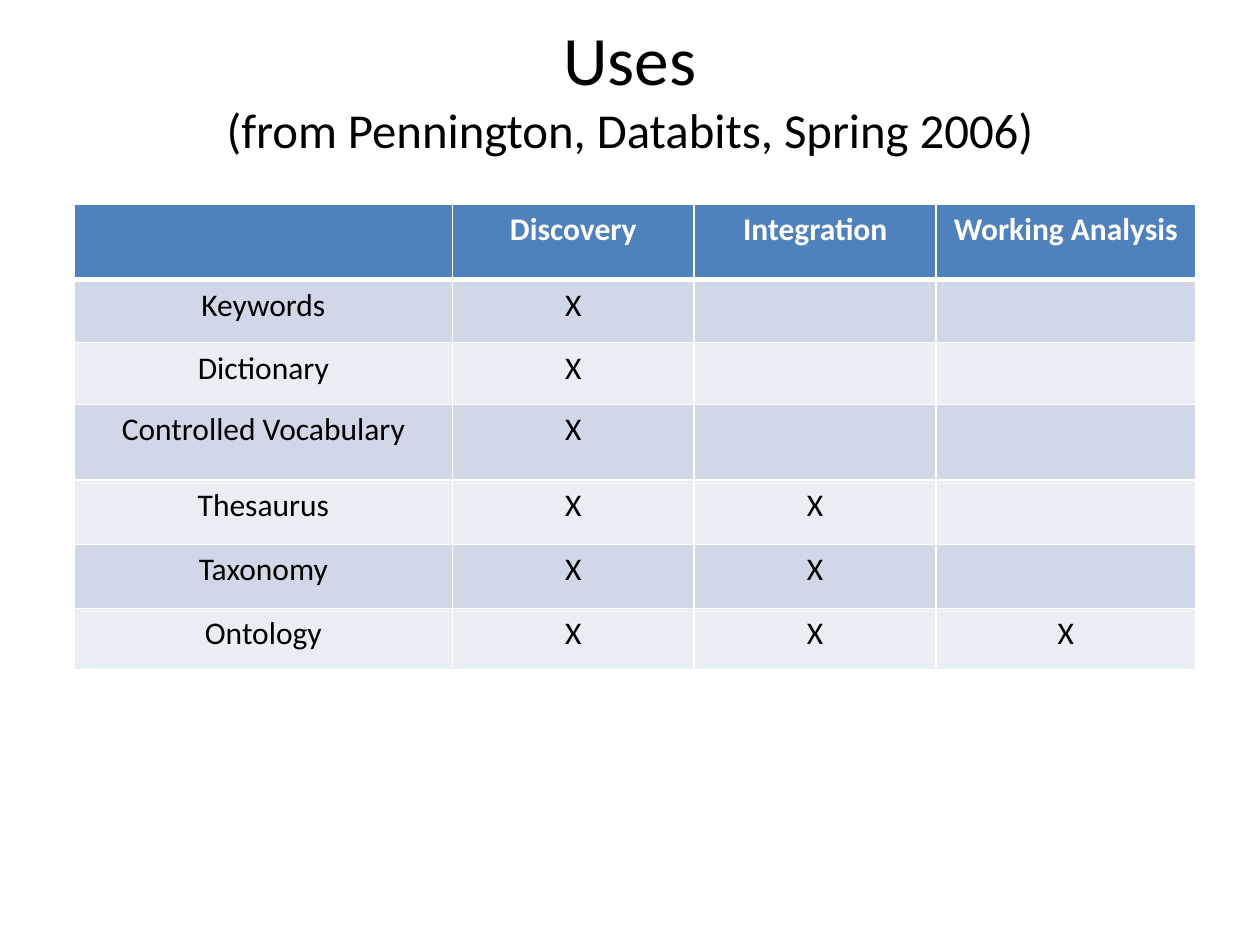
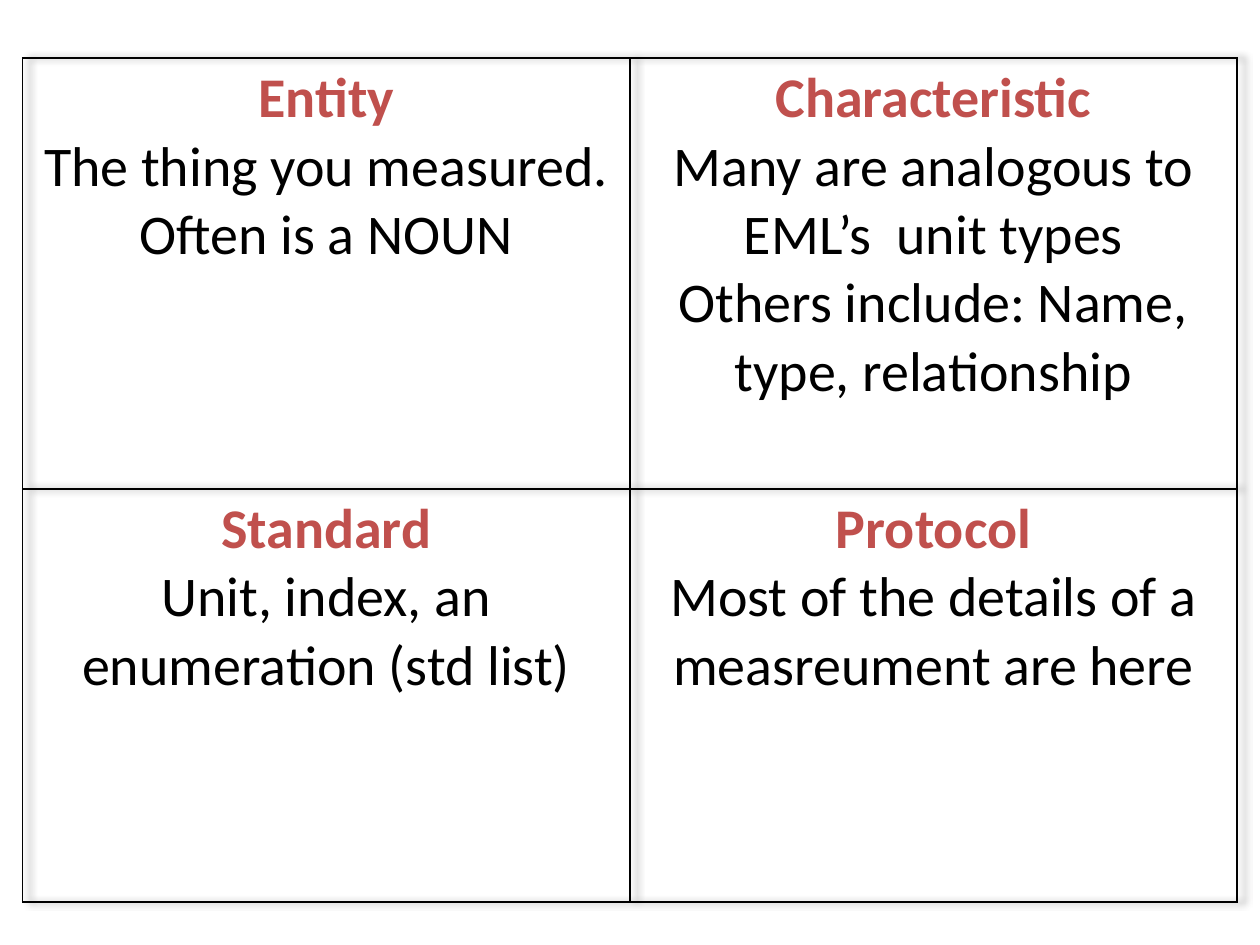
"""Build two slides: a table of uses and a grid of four measurement parts."""
import pptx
import pptx.util
import pptx.dml.color
import pptx.enum.text
import pptx.oxml
import pptx.oxml.ns

Inches, Pt = pptx.util.Inches, pptx.util.Pt
NS = pptx.oxml.ns.nsdecls("a")
NO_STYLE = "{2D5ABB26-0587-4C30-8999-92F81FD0307C}"
BLACK, WHITE, BLUE, RED = "000000", "FFFFFF", "4F81BD", "C0504D"
BANDS = ["D0D8E8", "E9EDF4"]


def rgb(color):
    return pptx.dml.color.RGBColor.from_string(color)


class Deck:
    font = "Calibri"

    def __init__(self):
        self.prs = pptx.Presentation()
        self.prs.slide_width, self.prs.slide_height = Inches(10), Inches(7.5)

    def slide(self, layout):
        self.s = self.prs.slides.add_slide(self.prs.slide_layouts.get_by_name(layout))

    def style(self, font, size, color=BLACK, bold=False):
        font.name, font.size, font.bold = self.font, Pt(size), bold
        font.color.rgb = rgb(color)

    def title(self, head, source):
        sp = self.s.shapes.title
        sp.left, sp.top, sp.width, sp.height = map(Inches, (0.5, 0.3, 9, 1.25))
        tf = sp.text_frame
        tf.auto_size = pptx.enum.text.MSO_AUTO_SIZE.NONE
        tf.vertical_anchor = pptx.enum.text.MSO_ANCHOR.MIDDLE
        tf.margin_bottom = Inches(0.52)
        p = tf.paragraphs[0]
        p.alignment = pptx.enum.text.PP_ALIGN.CENTER
        for text, size in ((head, 39.6), (source, 27.9)):
            if p.runs:
                p.add_line_break()
            r = p.add_run()
            r.text = text
            self.style(r.font, size)

    def table(self, left, top, cols, rows):
        frame = self.s.shapes.add_table(len(rows), len(cols), Inches(left), Inches(top),
                                        Inches(sum(cols)), Inches(sum(rows)))
        tbl = frame.table
        tbl.horz_banding = False
        tbl._tbl.tblPr.find(pptx.oxml.ns.qn("a:tableStyleId")).text = NO_STYLE
        for col, width in zip(tbl.columns, cols):
            col.width = Inches(width)
        for row, height in zip(tbl.rows, rows):
            row.height = Inches(height)
        return tbl

    def cell(self, cell, lines, size, fill=None):
        """Fill a cell with centred lines, each a (text, color, bold) tuple."""
        if fill:
            cell.fill.solid()
            cell.fill.fore_color.rgb = rgb(fill)
        else:
            cell.fill.background()
        tf = cell.text_frame
        for i, (text, color, bold) in enumerate(lines):
            p = tf.add_paragraph() if i else tf.paragraphs[0]
            p.text = text
            p.alignment = pptx.enum.text.PP_ALIGN.CENTER
            self.style(p.font, size, color, bold)

    def borders(self, cell, color, **widths):
        tcPr = cell._tc.get_or_add_tcPr()
        for i, side in enumerate("LRTB"):
            width = Pt(widths.get(side, 1))
            tcPr.insert(i, pptx.oxml.parse_xml(
                f'<a:ln{side} {NS} w="{width}"><a:solidFill><a:srgbClr val="{color}"/>'
                f'</a:solidFill></a:ln{side}>'))

    def shadow(self, tbl):
        tbl._tbl.tblPr.insert(0, pptx.oxml.parse_xml(
            f'<a:effectLst {NS}><a:outerShdw blurRad="{Pt(4)}" dist="{Pt(4)}" dir="0">'
            '<a:srgbClr val="000000"><a:alpha val="40000"/></a:srgbClr>'
            '</a:outerShdw></a:effectLst>'))


deck = Deck()

deck.slide("Title Only")
deck.title("Uses", "(from Pennington, Databits, Spring 2006)")
uses = [
    ["", "Discovery", "Integration", "Working Analysis"],
    ["Keywords", "X", "", ""],
    ["Dictionary", "X", "", ""],
    ["Controlled Vocabulary", "X", "", ""],
    ["Thesaurus", "X", "X", ""],
    ["Taxonomy", "X", "X", ""],
    ["Ontology", "X", "X", "X"],
]
tbl = deck.table(0.59, 1.62, [3, 1.92, 1.92, 2.06],
                 [0.6, 0.5, 0.49, 0.6, 0.51, 0.51, 0.49])
for i, row in enumerate(uses):
    for j, text in enumerate(row):
        cell = tbl.cell(i, j)
        if i == 0:
            deck.cell(cell, [(text, WHITE, True)], 18, BLUE)
            deck.borders(cell, WHITE, B=3)
        else:
            deck.cell(cell, [(text, BLACK, False)], 18, BANDS[(i - 1) % 2])
            deck.borders(cell, WHITE, T=3 if i == 1 else 1)

deck.slide("Blank")
parts = [
    [("Entity", "The thing you measured.", "Often is a NOUN"),
     ("Characteristic", "Many are analogous to EML’s  unit types",
      "Others include: Name, type, relationship")],
    [("Standard", "Unit, index, an enumeration (std list)"),
     ("Protocol", "Most of the details of a measreument are here")],
]
tbl = deck.table(0.18, 0.46, [4.82, 4.82], [3.42, 3.28])
deck.shadow(tbl)
for i, row in enumerate(parts):
    for j, (name, *details) in enumerate(row):
        lines = [(name, RED, True)] + [(text, BLACK, False) for text in details]
        deck.cell(tbl.cell(i, j), lines, 32)
        deck.borders(tbl.cell(i, j), BLACK)

deck.prs.save("out.pptx")
